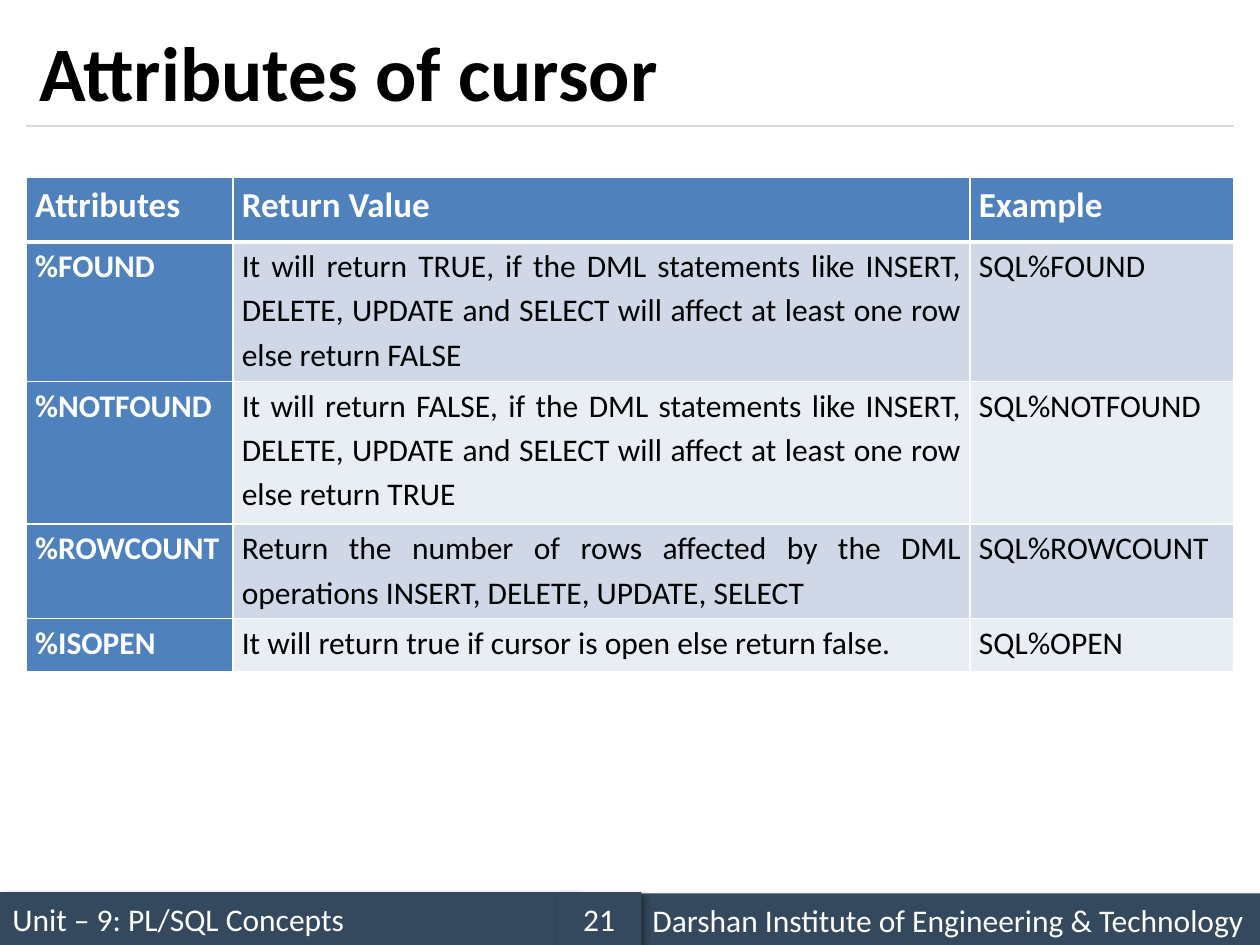
from dataclasses import dataclass

from lxml import etree
from pptx import Presentation
from pptx.dml.color import RGBColor
from pptx.enum.shapes import MSO_CONNECTOR, MSO_SHAPE
from pptx.enum.text import MSO_ANCHOR, PP_ALIGN
from pptx.oxml import parse_xml
from pptx.oxml.ns import nsdecls, qn
from pptx.util import Inches, Pt

LEFT, CENTER, JUSTIFY = PP_ALIGN.LEFT, PP_ALIGN.CENTER, PP_ALIGN.JUSTIFY
MIDDLE = MSO_ANCHOR.MIDDLE
RECT, STRAIGHT = MSO_SHAPE.RECTANGLE, MSO_CONNECTOR.STRAIGHT


@dataclass
class Theme:
    face: str = "Calibri"
    ink: str = "000000"
    white: str = "FFFFFF"
    rule: str = "D9D9D9"
    bar: str = "34495E"
    head: str = "4F81BD"
    odd: str = "D0D8E8"
    even: str = "E9EDF4"
    title: int = 44
    label: int = 20
    body: int = 18


theme = Theme()


def style(para, size, color, bold=False, align=LEFT):
    para.alignment = align
    font = para.font
    font.name, font.size, font.bold = theme.face, Pt(size), bold
    font.color.rgb = RGBColor.from_string(color)


def border(cell, sides):
    props = cell._tc.get_or_add_tcPr()
    for i, (side, width) in enumerate(sides.items()):
        props.insert(i, parse_xml(
            f'<a:ln{side} {nsdecls("a")} w="{Pt(width)}"><a:solidFill>'
            f'<a:srgbClr val="{theme.white}"/></a:solidFill></a:ln{side}>'))


deck = Presentation()
deck.slide_width, deck.slide_height = Inches(10), Inches(7.5)
slide = deck.slides.add_slide(deck.slide_layouts[5])
shapes = slide.shapes
edge, span = Inches(0.21), Inches(9.58)

# Footer bars, with the page number on top
bars = [
    (0, 7.08, 4.58, "Unit – 9: PL/SQL Concepts", LEFT),
    (5.08, 7.09, 4.92, "Darshan Institute of Engineering & Technology", LEFT),
    (4.42, 7.08, 0.67, "21", CENTER),
]
for left, top, width, text, align in bars:
    bar = shapes.add_shape(RECT, Inches(left), Inches(top), Inches(width), Inches(0.42))
    bar.fill.solid()
    bar.fill.fore_color.rgb = RGBColor.from_string(theme.bar)
    bar.line.fill.background()
    bar.shadow.inherit = False
    bar._element.spPr.find(qn("a:effectLst")).append(parse_xml(
        f'<a:outerShdw {nsdecls("a")} blurRad="{Pt(4)}" dist="{Pt(3)}" dir="2700000" '
        'algn="tl" rotWithShape="0"><a:srgbClr val="000000">'
        '<a:alpha val="40000"/></a:srgbClr></a:outerShdw>'))
    frame = bar.text_frame
    frame.word_wrap, frame.vertical_anchor = True, MIDDLE
    frame.text = text
    style(frame.paragraphs[0], theme.body, theme.white, align=align)

# Title and the rule below it
title = shapes.title
title.left, title.top, title.width, title.height = edge, Inches(0.12), span, Inches(0.88)
title.text_frame.text = "Attributes of cursor"
title.text_frame.vertical_anchor = MIDDLE
style(title.text_frame.paragraphs[0], theme.title, theme.ink, bold=True)

rule = shapes.add_connector(STRAIGHT, edge, Inches(1), edge + span, Inches(1))
rule.line.color.rgb = RGBColor.from_string(theme.rule)
rule.line.width = Pt(0.75)
etree.SubElement(rule._element.spPr, qn("a:effectLst"))

# Table of attributes
rows = [
    ("Attributes", "Return Value", "Example"),
    ("%FOUND",
     "It will return TRUE, if the DML statements like INSERT, DELETE, UPDATE "
     "and SELECT will affect at least one row else return FALSE",
     "SQL%FOUND"),
    ("%NOTFOUND",
     "It will return FALSE, if the DML statements like INSERT, DELETE, UPDATE "
     "and SELECT will affect at least one row else return TRUE",
     "SQL%NOTFOUND"),
    ("%ROWCOUNT",
     "Return the number of rows affected by the DML operations INSERT, DELETE, "
     "UPDATE, SELECT",
     "SQL%ROWCOUNT"),
    ("%ISOPEN",
     "It will return true if cursor is open else return false.",
     "SQL%OPEN"),
]
widths = [1.64, 5.85, 2.09]
heights = [0.51, 1.11, 1.13, 0.75, 0.42]
table = shapes.add_table(len(rows), len(widths), edge, Inches(1.41),
                         span, Inches(sum(heights))).table
table.first_col = True
for col, width in zip(table.columns, widths):
    col.width = Inches(width)

for r, (texts, height) in enumerate(zip(rows, heights)):
    table.rows[r].height = Inches(height)
    for c, text in enumerate(texts):
        cell = table.cell(r, c)
        key = r == 0 or c == 0
        fill = theme.head if key else theme.odd if r % 2 else theme.even
        cell.fill.solid()
        cell.fill.fore_color.rgb = RGBColor.from_string(fill)
        border(cell, {"L": 1, "R": 1, "T": 3 if r == 1 else 1, "B": 1 if r else 3})
        cell.margin_left = cell.margin_right = Inches(0.07)
        cell.margin_top = cell.margin_bottom = 0
        cell.text = text
        para = cell.text_frame.paragraphs[0]
        para.line_spacing = 1.15
        style(para, theme.body if r else theme.label,
              theme.white if key else theme.ink, bold=key, align=JUSTIFY)

deck.save("out.pptx")
